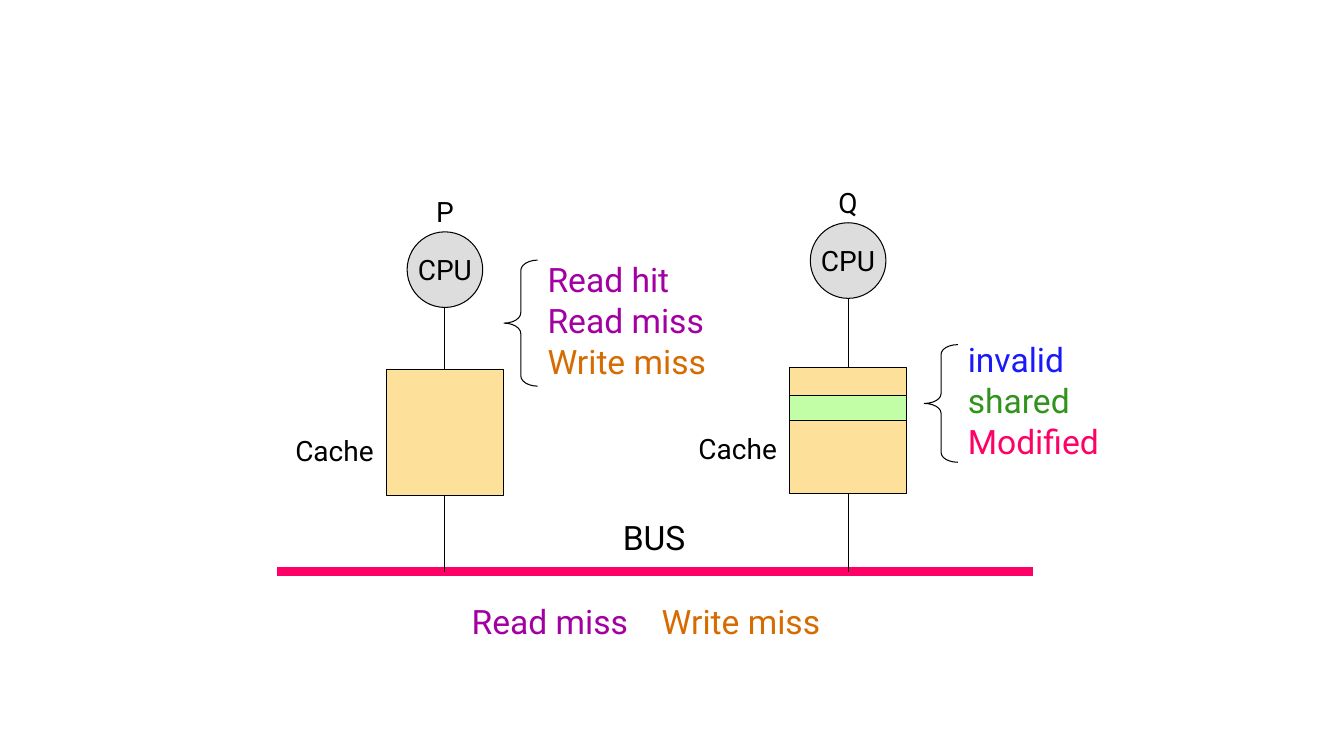
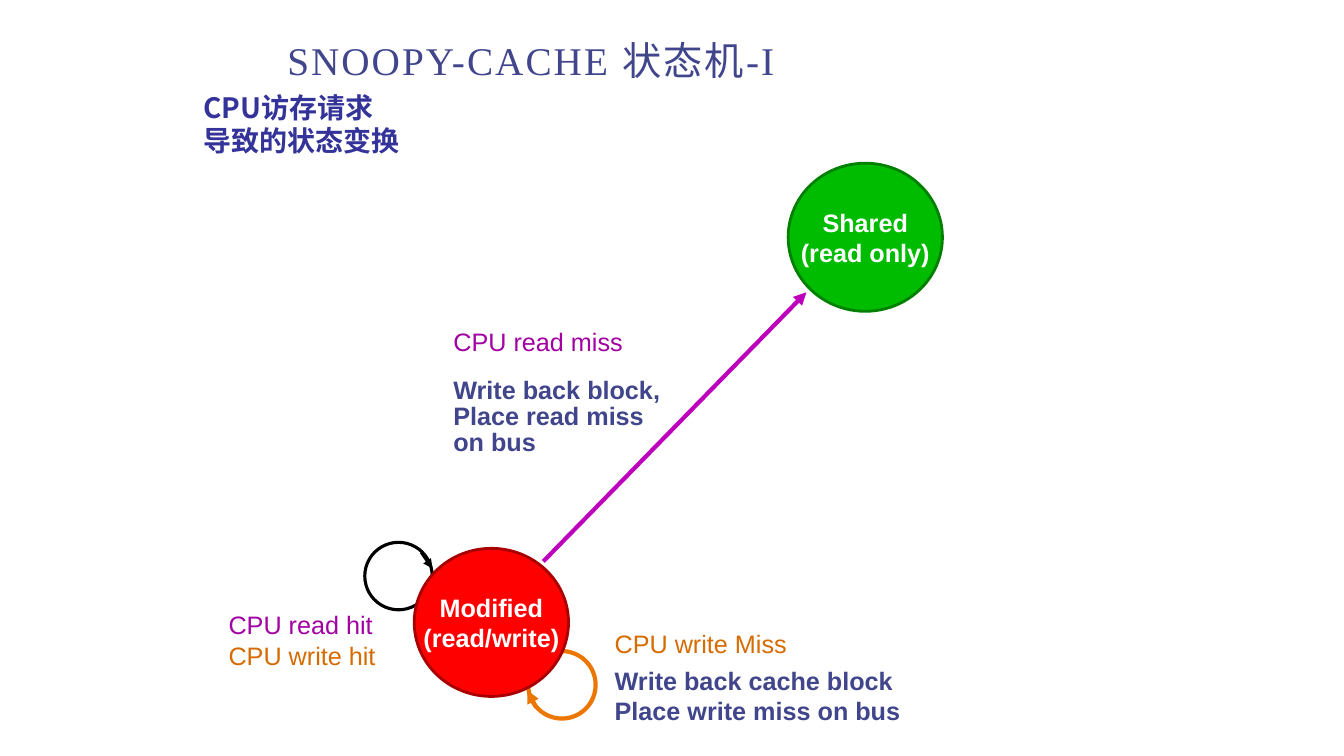
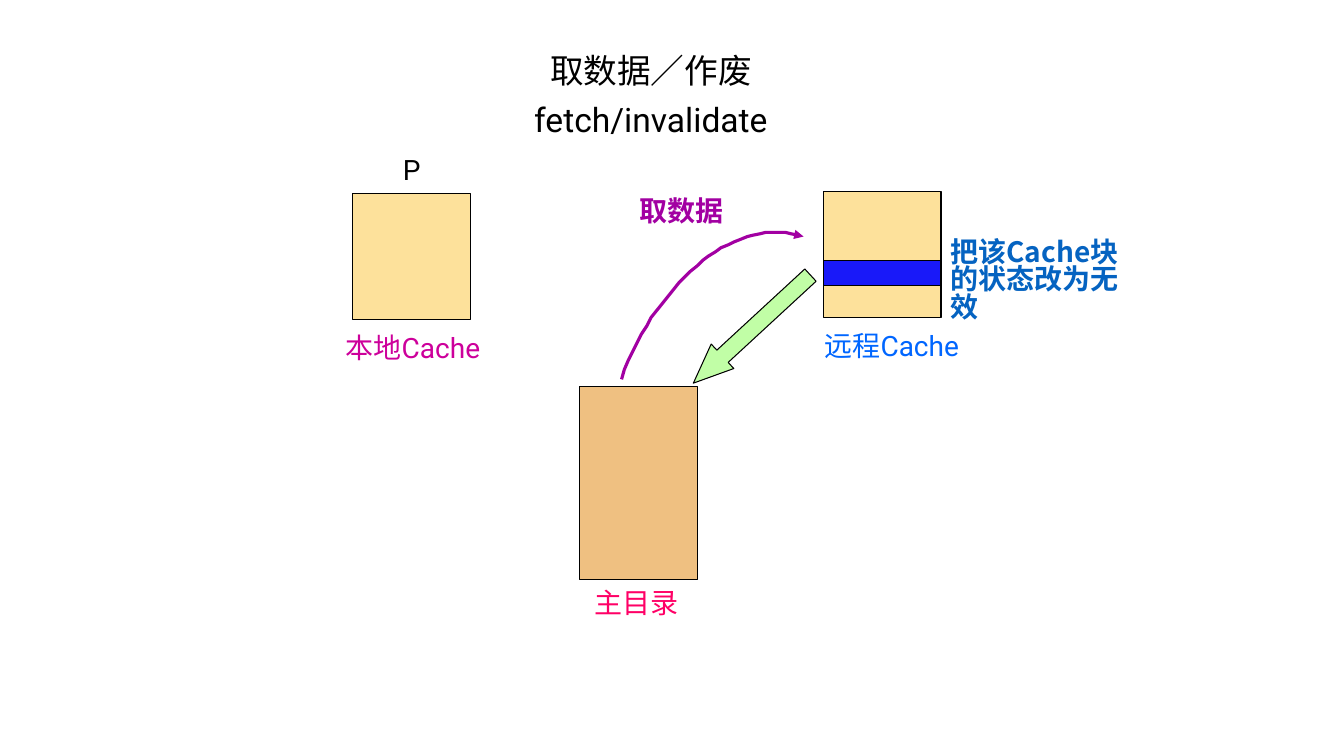
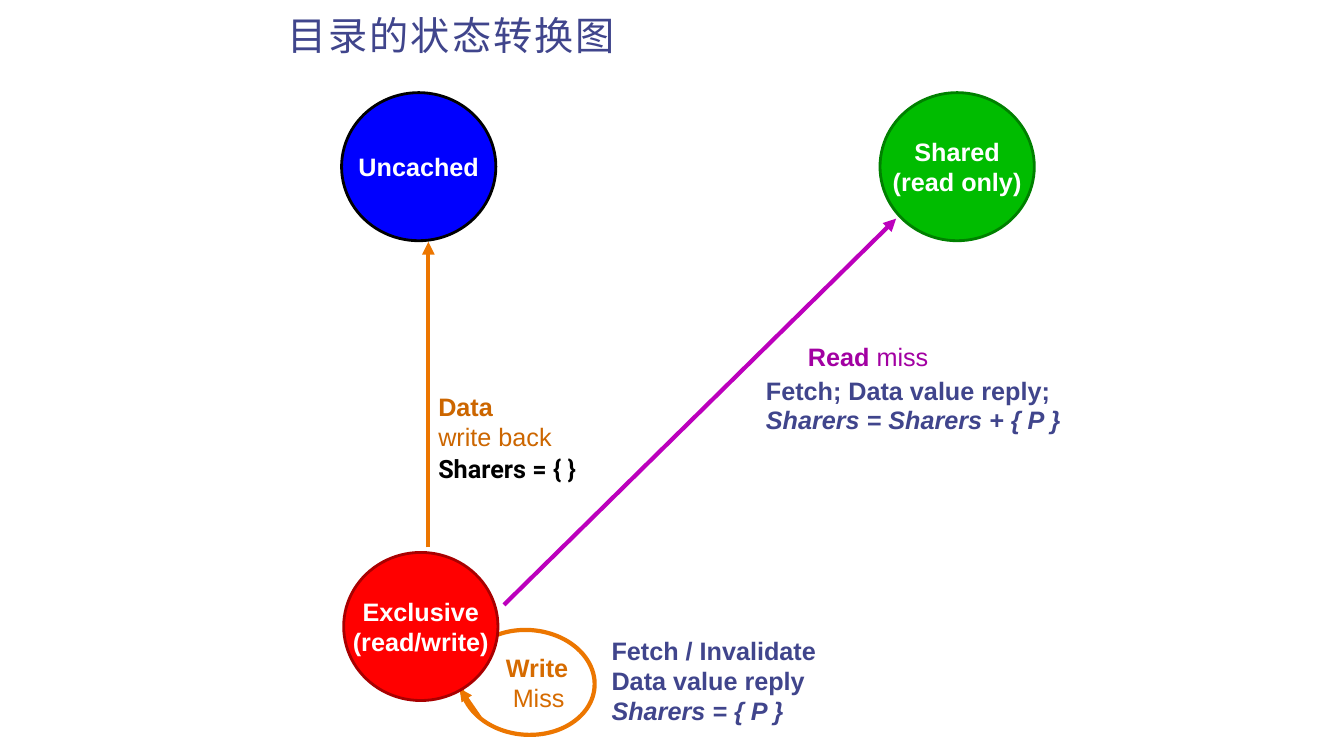
from lxml.etree import SubElement
from pptx import Presentation
from pptx.dml.color import RGBColor
from pptx.enum.shapes import MSO_CONNECTOR, MSO_SHAPE
from pptx.enum.text import MSO_ANCHOR, MSO_AUTO_SIZE, PP_ALIGN
from pptx.oxml.ns import qn
from pptx.util import Pt

BLACK = RGBColor(0x00, 0x00, 0x00)
WHITE = RGBColor(0xFF, 0xFF, 0xFF)
GREY = RGBColor(0xDD, 0xDD, 0xDD)
SAND = RGBColor(0xFD, 0xE1, 0x9B)
TAN = RGBColor(0xEF, 0xC0, 0x81)
MINT = RGBColor(0xC1, 0xFE, 0xA6)
PINK = RGBColor(0xFF, 0x00, 0x66)
PURPLE = RGBColor(0xA2, 0x00, 0xA2)
VIOLET = RGBColor(0xBC, 0x00, 0xBC)
MAGENTA = RGBColor(0xCD, 0x00, 0x9B)
OCHRE = RGBColor(0xD6, 0x6B, 0x00)
RUST = RGBColor(0xCC, 0x66, 0x00)
ORANGE = RGBColor(0xEC, 0x76, 0x00)
ROYAL = RGBColor(0x19, 0x19, 0xF9)
LEAF = RGBColor(0x30, 0x94, 0x1C)
SLATE = RGBColor(0x40, 0x45, 0x8C)
NAVY = RGBColor(0x33, 0x33, 0x99)
AZURE = RGBColor(0x00, 0x66, 0xFF)
OCEAN = RGBColor(0x05, 0x63, 0xC1)
RED = RGBColor(0xFF, 0x00, 0x00)
DARK_RED = RGBColor(0xA8, 0x00, 0x00)
GREEN = RGBColor(0x00, 0xBC, 0x00)
DARK_GREEN = RGBColor(0x00, 0x80, 0x00)
BLUE = RGBColor(0x00, 0x00, 0xFF)

CHINESE = "Noto Sans CJK SC"
LABEL = {"name": "Roboto", "size": Pt(20), "color": BLACK}
LARGE = LABEL | {"size": Pt(24)}
HEAVY = {"name": CHINESE, "size": Pt(20), "bold": True}
EVENT = {"name": "Arial", "size": Pt(18), "color": PURPLE}
ACTION = EVENT | {"color": SLATE, "bold": True}
STATE = ACTION | {"color": WHITE}
TITLE = {"name": "Times New Roman", "size": Pt(28), "color": SLATE}

CACHE_WIDTH, CACHE_HEIGHT, STRIPE_HEIGHT = 84, 90, 18
CPU_SIZE = 54
BUS_TOP = 408.24
STATE_WIDTH, STATE_HEIGHT = 110.2, 105.8


def format_span(span, style):
    """Apply a style to one run."""
    for key, value in style.items():
        if key == "color":
            span.font.color.rgb = value
        else:
            setattr(span.font, key, value)
    SubElement(span.font._element, qn("a:ea")).set("typeface", CHINESE)


def write(frame, lines, style, **layout):
    """Fill a text frame; a line is a string or a list of (text, changes)."""
    for index, line in enumerate(lines):
        para = frame.add_paragraph() if index else frame.paragraphs[0]
        for key, value in layout.items():
            if index or key != "space_before":
                setattr(para, key, value)
        for text, changes in [(line, {})] if isinstance(line, str) else line:
            span = para.add_run()
            span.text = text
            format_span(span, style | changes)


def add_text(page, left, top, width, lines, style, **layout):
    """Add a wrapping text box and return its paragraphs."""
    height = 7.2 + len(lines) * style["size"].pt * 1.2
    box = page.shapes.add_textbox(Pt(left), Pt(top), Pt(width), Pt(height))
    box.text_frame.word_wrap = True
    write(box.text_frame, lines, style, **layout)
    return box.text_frame.paragraphs


def indent(para, distance):
    """Indent a paragraph from the left."""
    para._p.get_or_add_pPr().set("marL", str(Pt(distance)))


def add_title(deck, text, top):
    """Add a title-only slide and format its title."""
    page = deck.slides.add_slide(deck.slide_layouts[5])
    title = page.shapes.title
    place = {"left": 198, "top": top, "width": 564, "height": 42}
    for key, value in place.items():
        setattr(title, key, Pt(value))
    title.text_frame.auto_size = MSO_AUTO_SIZE.NONE
    title.text_frame.vertical_anchor = MSO_ANCHOR.MIDDLE
    write(title.text_frame, [text], TITLE, alignment=PP_ALIGN.LEFT, line_spacing=0.9)
    title.text_frame.paragraphs[0].runs[0].font._element.set("spc", "150")
    return page


def paint(shape, fill, line, width):
    """Set fill and outline and drop the shadow."""
    shape.shadow.inherit = False
    if fill is None:
        shape.fill.background()
    else:
        shape.fill.solid()
        shape.fill.fore_color.rgb = fill
    shape.line.color.rgb = line
    shape.line.width = Pt(width)


def add_figure(page, kind, left, top, width, height, fill=None, line=BLACK, weight=0.75):
    """Add a painted preset shape."""
    figure = page.shapes.add_shape(kind, Pt(left), Pt(top), Pt(width), Pt(height))
    paint(figure, fill, line, weight)
    return figure


def add_arrowhead(shape):
    """Put a triangle at the end of a line."""
    SubElement(shape.element.spPr.find(qn("a:ln")), qn("a:tailEnd")).set("type", "triangle")


def add_line(page, start, end, colour=BLACK, width=0.75, arrow=False):
    """Draw a straight connector."""
    line = page.shapes.add_connector(MSO_CONNECTOR.STRAIGHT, *map(Pt, (*start, *end)))
    line.line.color.rgb = colour
    line.line.width = Pt(width)
    if arrow:
        add_arrowhead(line)
    SubElement(line.element.spPr, qn("a:effectLst"))
    return line


def add_cache(page, left, top, stripe=None, stripe_offset=0):
    """Draw a cache, with one block marked if a stripe colour is given."""
    cache = add_figure(page, MSO_SHAPE.RECTANGLE, left, top, CACHE_WIDTH, CACHE_HEIGHT, SAND)
    if stripe is not None:
        add_figure(page, MSO_SHAPE.RECTANGLE, left, top + stripe_offset,
                   CACHE_WIDTH, STRIPE_HEIGHT, stripe)
    return cache


def add_node(page, left, top, name, cpu_rise, stripe=None):
    """Draw a processor with its cache and its link to the bus."""
    middle = left + CACHE_WIDTH / 2
    cpu_top = top - cpu_rise
    cache = add_cache(page, left, top, stripe, 19.4)
    cpu = add_figure(page, MSO_SHAPE.OVAL, middle - CPU_SIZE / 2, cpu_top,
                     CPU_SIZE, CPU_SIZE, GREY)
    cpu.text_frame.word_wrap = False
    write(cpu.text_frame, ["CPU"], LABEL, alignment=PP_ALIGN.CENTER)
    add_text(page, middle - 20, cpu_top - 30, 40, [name], LABEL, alignment=PP_ALIGN.CENTER)
    add_text(page, left - 72, top + 41.8, 84, ["Cache"], LABEL)
    link = add_line(page, (middle, cpu_top + CPU_SIZE), (middle, top))
    link.end_connect(cache, 0)
    drop = add_line(page, (middle, top + CACHE_HEIGHT), (middle, BUS_TOP))
    drop.begin_connect(cache, 2)


def add_choices(page, left, top, height, bend, choices):
    """Draw a brace and the coloured choices to its right."""
    brace = add_figure(page, MSO_SHAPE.LEFT_BRACE, left, top, 24, height)
    brace.adjustments[0] = bend
    lines = [[(text, {"color": colour})] for text, colour in choices]
    add_text(page, left + 24, top + height / 2 - 39.2, 168, lines, LARGE,
             line_spacing=0.6, space_before=Pt(12))


def add_state(page, left, top, lines, fill, line):
    """Draw one state of the state machine."""
    state = add_figure(page, MSO_SHAPE.OVAL, left, top, STATE_WIDTH, STATE_HEIGHT, fill, line, 2)
    state.text_frame.word_wrap = False
    write(state.text_frame, lines, STATE, alignment=PP_ALIGN.CENTER)


def add_loop(page, left, top, width, height, colour, weight, start, end):
    """Draw a self-transition; the arrow ends are offsets in its box."""
    loop = add_figure(page, MSO_SHAPE.OVAL, left, top, width, height, None, colour, weight)
    add_line(page, (left + start[0], top + start[1]), (left + end[0], top + end[1]),
             colour, weight, True)
    return loop


def add_curve(page, start, first, second, end, colour, width):
    """Draw a Bezier curve that ends in an arrowhead."""
    points = []
    for step in range(33):
        t = step / 32
        weights = ((1 - t) ** 3, 3 * t * (1 - t) ** 2, 3 * t * t * (1 - t), t ** 3)
        points.append(tuple(
            sum(weight * value for weight, value in zip(weights, axis))
            for axis in zip(start, first, second, end)))
    builder = page.shapes.build_freeform(*points[0], scale=Pt(1))
    builder.add_line_segments(points[1:], close=False)
    curve = builder.convert_to_shape()
    paint(curve, None, colour, width)
    add_arrowhead(curve)


def build_bus_slide(deck):
    """Two processors that snoop on one bus."""
    page = deck.slides.add_slide(deck.slide_layouts[6])
    add_line(page, (198, BUS_TOP), (738, BUS_TOP), PINK, 6)
    add_node(page, 275.8, 264.2, "P", 98.6)
    add_node(page, 563.8, 262.8, "Q", 103.7, MINT)
    add_choices(page, 360, 185.8, 90, 0.31,
                [("Read hit", PURPLE), ("Read miss", PURPLE), ("Write miss", OCHRE)])
    add_choices(page, 660.2, 246.2, 84, 0.29,
                [("invalid", ROYAL), ("shared", LEAF), ("Modified", PINK)])
    add_text(page, 437.8, 365.8, 108, ["BUS"], LARGE)
    for left, text, colour in ((329.8, "Read miss", PURPLE), (465.6, "Write miss", OCHRE)):
        add_text(page, left, 426, 140, [text], LARGE | {"color": colour})


def build_snoopy_slide(deck):
    """State changes caused by requests of the processor."""
    page = add_title(deck, "SNOOPY-CACHE 状态机-I", 23.8)
    add_loop(page, 377.3, 465.1, 48.2, 48.2, ORANGE, 3, (5.7, 40.3), (-0.7, 28.1))
    add_loop(page, 260.6, 387.4, 48.2, 48.2, BLACK, 2.25, (40.4, 7.2), (48.3, 18.7))
    add_state(page, 295.9, 391.7, ["Modified", "(read/write)"], RED, DARK_RED)
    add_state(page, 563, 116.6, ["Shared", "(read only)"], GREEN, DARK_GREEN)
    add_text(page, 138.2, 61, 180, ["CPU访存请求", "导致的状态变换"], HEAVY | {"color": NAVY})
    add_text(page, 156.2, 432, 130,
             ["CPU read hit", [("CPU write hit", {"color": OCHRE})]], EVENT)
    add_text(page, 432, 445, 150, ["CPU write Miss"], EVENT | {"color": OCHRE})
    add_text(page, 432, 471.6, 230, ["Write back cache block", "Place write miss on bus"], ACTION)
    add_text(page, 316.8, 229.7, 140, ["CPU read miss"], EVENT)
    add_text(page, 316.8, 266.7, 175.7,
             ["Write back block,", "Place read miss", "on bus"], ACTION, line_spacing=0.86)
    add_line(page, (388.1, 401), (576, 208.8), VIOLET, 3, True)


def build_fetch_slide(deck):
    """The home directory fetches a block and invalidates it."""
    page = deck.slides.add_slide(deck.slide_layouts[6])
    add_text(page, 360, 32, 210, ["取数据／作废", "fetch/invalidate"], LARGE,
             alignment=PP_ALIGN.CENTER, space_before=Pt(6))
    add_cache(page, 252, 138.2)
    add_cache(page, 588.2, 136.8, ROYAL, 49)
    add_figure(page, MSO_SHAPE.RECTANGLE, 414, 275.8, CACHE_WIDTH, 138.2, TAN)
    labels = (
        (280.8, 105.1, "P", {}),
        (239.8, 232.5, "本地Cache", {"color": MAGENTA}),
        (581.8, 231, "远程Cache", {"color": AZURE}),
        (417.6, 415, "主目录", {"color": PINK}),
        (450, 135, "取数据", {"color": PURPLE, "bold": True}),
    )
    for left, top, text, changes in labels:
        add_text(page, left, top, 130, [text], LABEL | changes)
    add_text(page, 671.8, 168.5, 149.8, ["把该Cache块的状态改为无效"],
             HEAVY | {"color": OCEAN}, line_spacing=0.81)
    add_curve(page, (443.5, 270.7), (470.9, 198), (528.5, 152.6), (573.8, 169.2), PURPLE, 2.25)
    reply = add_figure(page, MSO_SHAPE.LEFT_ARROW, 480.2, 223.2, 113.8, 23.8, MINT)
    reply.adjustments[1] = 1.19
    reply.rotation = 317.3


def build_directory_slide(deck):
    """State changes of a directory entry."""
    page = add_title(deck, "目录的状态转换图", 5.8)
    loop = add_loop(page, 329, 450, 95.8, 74.9, ORANGE, 3, (13.7, 62.6), (-0.7, 41.8))
    loop.rotation = 3.8
    add_state(page, 245.5, 394.6, ["Exclusive", "(read/write)"], RED, DARK_RED)
    add_state(page, 244, 66.2, ["Uncached"], BLUE, BLACK)
    add_state(page, 628.6, 66.2, ["Shared", "(read only)"], GREEN, DARK_GREEN)
    add_line(page, (306, 391), (306, 172.8), ORANGE, 3, True)
    add_line(page, (360, 432), (640.1, 156.2), VIOLET, 3, True)
    plain, italic = {"bold": False}, {"italic": True}
    add_text(page, 429.8, 450, 180,
             ["Fetch / Invalidate", "Data value reply", [("Sharers = { P }", italic)]], ACTION)
    loop_label = add_text(page, 354.2, 462.2, 70, ["Write", [("Miss", plain)]],
                          ACTION | {"color": OCHRE})
    indent(loop_label[1], 5)
    add_text(page, 306, 275.8, 110, ["Data", [("write back", plain)]], ACTION | {"color": RUST})
    add_text(page, 306, 320.4, 150, ["Sharers = { }"], LABEL | {"size": Pt(18), "bold": True})
    purple = {"color": PURPLE}
    reply = add_text(page, 540, 246.2, 228,
                     [[("Read", purple), (" miss", purple | plain)],
                      "Fetch; Data value reply;",
                      [("Sharers = Sharers + { P }", italic)]],
                     ACTION, line_spacing=0.7, space_before=Pt(9))
    indent(reply[0], 30)
    reply[2].line_spacing = 0.5


def main():
    """Build the deck and save it."""
    deck = Presentation()
    deck.slide_width, deck.slide_height = Pt(960), Pt(540)
    for build in (build_bus_slide, build_snoopy_slide, build_fetch_slide, build_directory_slide):
        build(deck)
    deck.save("out.pptx")


if __name__ == "__main__":
    main()
